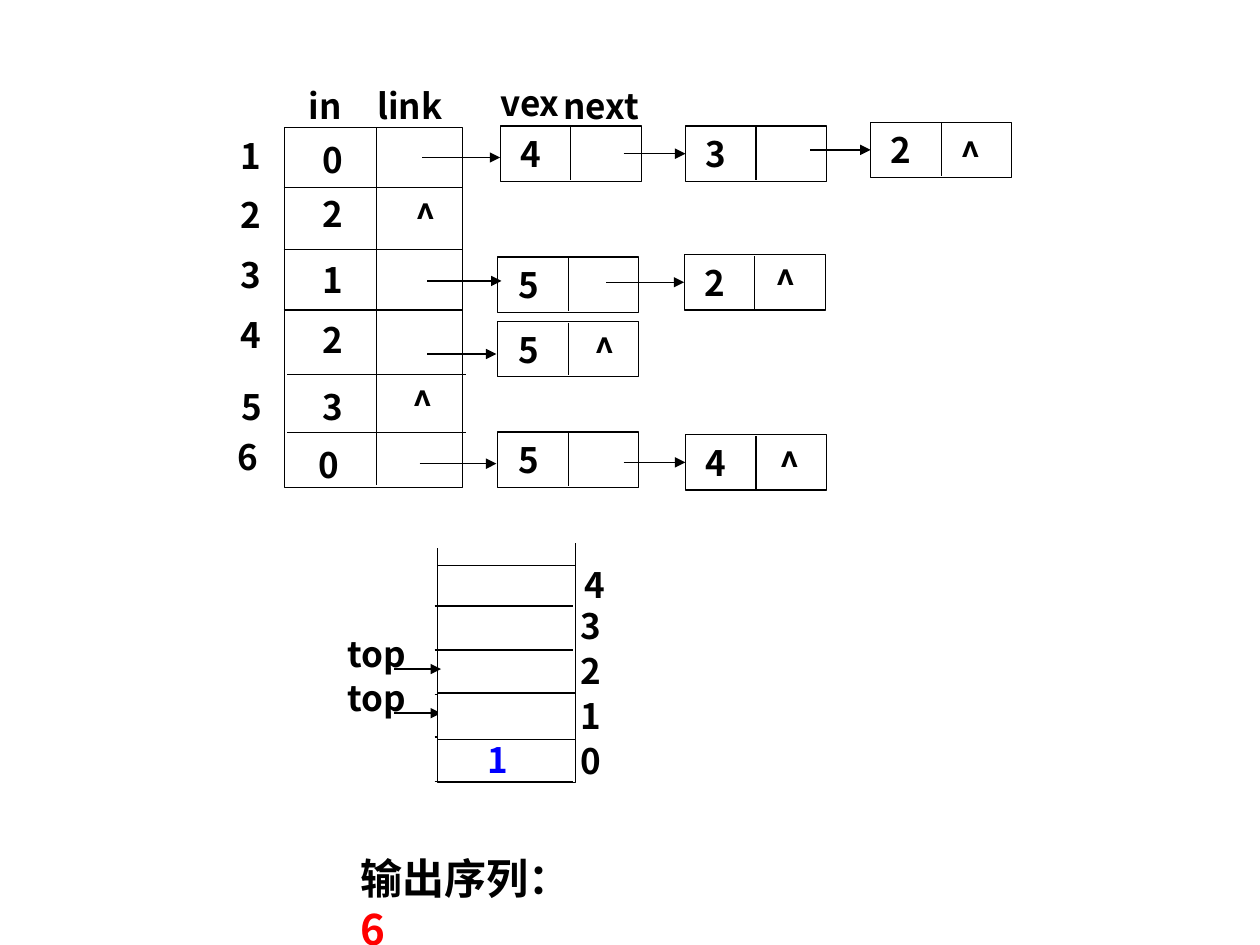
from dataclasses import dataclass

from lxml.etree import SubElement
from pptx import Presentation
from pptx.dml.color import RGBColor
from pptx.enum.shapes import MSO_CONNECTOR, MSO_SHAPE
from pptx.enum.text import MSO_ANCHOR, PP_ALIGN
from pptx.oxml.ns import qn
from pptx.util import Inches, Pt


@dataclass(frozen=True)
class Theme:
    font: str = "Noto Sans CJK SC"
    ink: RGBColor = RGBColor(0, 0, 0)
    paper: RGBColor = RGBColor(255, 255, 255)
    pushed: RGBColor = RGBColor(0, 0, 255)
    output: RGBColor = RGBColor(255, 0, 0)
    label_size: Pt = Pt(20)
    output_size: Pt = Pt(24)
    stroke: Pt = Pt(0.75)


THEME = Theme()
WIDTH, HEIGHT = Inches(10), Inches(7.5)
COLUMNS, ROWS = 100, 75
LABEL_HEIGHT = 4.3
DIGIT_WIDTH = 3.4
NODE_WIDTH, NODE_HEIGHT = 11.2, 4.4


def across(columns):
    return round(WIDTH * columns / COLUMNS)


def down(rows):
    return round(HEIGHT * rows / ROWS)


def frame(left, top, width, height):
    return across(left), down(top), across(width), down(height)


def format_run(run, size, color):
    run.font.name = THEME.font
    run.font.size = size
    run.font.bold = True
    run.font.color.rgb = color
    SubElement(run.font._element, qn("a:ea")).set("typeface", THEME.font)


def add_label(slide, text, left, top, width=DIGIT_WIDTH, color=THEME.ink):
    label = slide.shapes.add_textbox(*frame(left, top, width, LABEL_HEIGHT))
    label.text_frame.word_wrap = False
    label.text_frame.margin_right = 0
    paragraph = label.text_frame.paragraphs[0]
    paragraph.text = text
    format_run(paragraph.runs[0], THEME.label_size, color)
    return label


def add_cell_label(slide, text, left, top, width=DIGIT_WIDTH):
    text_frame = add_label(slide, text, left, top, width).text_frame
    text_frame.margin_left, text_frame.margin_right = 0, across(1)
    text_frame.vertical_anchor = MSO_ANCHOR.MIDDLE
    text_frame.paragraphs[0].alignment = PP_ALIGN.RIGHT


def add_line(slide, start, end, arrow=False):
    line = slide.shapes.add_connector(
        MSO_CONNECTOR.STRAIGHT, across(start[0]), down(start[1]),
        across(end[0]), down(end[1]))
    line.line.color.rgb = THEME.ink
    line.line.width = THEME.stroke
    if arrow:
        SubElement(line.line._get_or_add_ln(), qn("a:tailEnd")).set("type", "triangle")
    SubElement(line._element.spPr, qn("a:effectLst"))
    return line


def add_box(slide, left, top, width, height, filled=False):
    box = slide.shapes.add_shape(
        MSO_SHAPE.RECTANGLE, *frame(left, top, width, height))
    box.shadow.inherit = False
    box.line.color.rgb = THEME.ink
    box.line.width = THEME.stroke
    if filled:
        box.fill.solid()
        box.fill.fore_color.rgb = THEME.paper
    else:
        box.fill.background()
    return box


def add_node(slide, vertex, left, top):
    node = add_box(slide, left, top, NODE_WIDTH, NODE_HEIGHT)
    node.text_frame.vertical_anchor = MSO_ANCHOR.MIDDLE
    paragraph = node.text_frame.paragraphs[0]
    paragraph.text = f" {vertex}"
    paragraph.alignment = PP_ALIGN.LEFT
    format_run(paragraph.runs[0], THEME.label_size, THEME.ink)
    middle = left + NODE_WIDTH / 2
    add_line(slide, (middle, top + 0.1), (middle, top + NODE_HEIGHT - 0.1))
    return node


def add_head_table(slide):
    add_box(slide, 22.6, 10.1, 14.1, 28.6)
    add_line(slide, (29.9, 10.1), (29.9, 38.5))
    for left, row in ((22.5, 14.9), (22.5, 19.8), (22.5, 24.6), (22.8, 29.7), (22.8, 34.3)):
        add_line(slide, (left, row), (left + 14.15, row))

    headings = (("in", 23.9, 6.2, 4.2), ("link", 29.8, 6.2, 6.3),
                ("vex", 39.2, 6, 6.2), ("next", 44.6, 6.2, 7.1))
    for heading in headings:
        add_cell_label(slide, *heading)

    degrees = ((0, 24.8, 10.5), (2, 24.8, 14.8), (1, 24.8, 20),
               (2, 24.8, 24.8), (3, 24.8, 30.1), (0, 24.5, 34.7))
    for degree, left, top in degrees:
        add_cell_label(slide, str(degree), left, top)

    vertices = ((18.3, 10.2), (18.3, 14.9), (18.3, 19.6),
                (18.3, 24.4), (18.4, 30.1), (18.1, 34.1))
    for vertex, (left, top) in enumerate(vertices, start=1):
        add_cell_label(slide, str(vertex), left, top)


def add_adjacency_lists(slide):
    chains = (
        ((33.5, 39.7, 12.5), ((4, 39.7, 10, 49.5), (3, 54.4, 10, 64.3), (2, 69.1, 9.7, None))),
        ((33.9, 39.8, 22.3), ((5, 39.5, 20.4, 48.1), (2, 54.3, 20.2, None))),
        ((33.9, 39.4, 28.1), ((5, 39.5, 25.5, None),)),
        ((33.3, 39.4, 36.8), ((5, 39.5, 34.3, 49.5), (4, 54.4, 34.5, None))),
    )
    for (link_start, link_end, link_row), nodes in chains:
        add_line(slide, (link_start, link_row), (link_end, link_row), arrow=True)
        next_start = None
        for vertex, left, top, following_start in nodes:
            node = add_node(slide, vertex, left, top)
            if next_start:
                middle = top + NODE_HEIGHT / 2
                pointer = add_line(slide, (next_start, middle), (left, middle), arrow=True)
                pointer.end_connect(node, 1)
            next_start = following_start

    list_ends = ((75.6, 10.1), (60.9, 20.3), (46.5, 25.7),
                 (61.2, 34.7), (32.3, 15), (32.1, 29.9))
    for left, top in list_ends:
        add_cell_label(slide, "^", left, top, 3.3)


def add_stack(slide):
    left, right = 34.7, 45.7
    add_box(slide, left, 44.9, right - left, 17.2, filled=True)
    add_line(slide, (left, 43.5), (left, 62))
    add_line(slide, (right, 61.8), (right, 43.1))
    add_line(slide, (left, 44.9), (right, 44.9))
    for row in (48.1, 51.6, 55.1, 58.5, 62):
        add_line(slide, (left - 0.2, row), (right - 0.2, row))

    add_label(slide, "4", 45.4, 44.2)
    for step, slot in enumerate((3, 2, 1, 0)):
        add_label(slide, str(slot), 45.1, 47.5 + 3.57 * step, 4.5)
    add_label(slide, "1", 37.7, 58.1, color=THEME.pushed)

    for top in (53.2, 49.7):
        add_line(slide, (31.3, top + 3.4), (35, top + 3.4), arrow=True)
        add_label(slide, "top", 26.6, top, 6)
    add_box(slide, left, 55, right - left, 3.7, filled=True)


def add_output_sequence(slide):
    sequence = slide.shapes.add_textbox(*frame(27.6, 67.2, 20, 5))
    sequence.text_frame.word_wrap = True
    paragraph = sequence.text_frame.paragraphs[0]
    for text, color in (("输出序列：", THEME.ink), ("6", THEME.output)):
        run = paragraph.add_run()
        run.text = text
        format_run(run, THEME.output_size, color)


def main():
    presentation = Presentation()
    presentation.slide_width, presentation.slide_height = WIDTH, HEIGHT
    slide = presentation.slides.add_slide(presentation.slide_layouts[6])
    add_head_table(slide)
    add_adjacency_lists(slide)
    add_output_sequence(slide)
    add_stack(slide)
    presentation.save("out.pptx")


if __name__ == "__main__":
    main()
